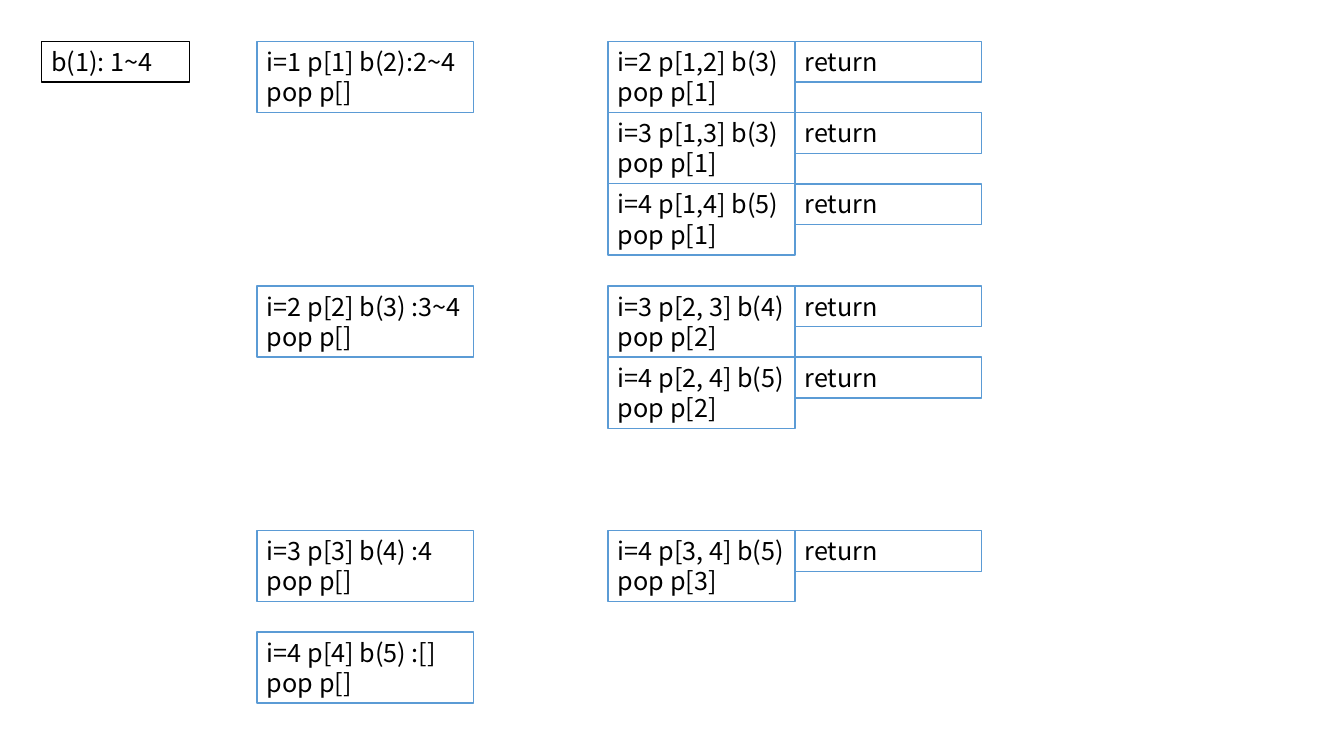
from typing import NamedTuple

from pptx import Presentation
from pptx.dml.color import RGBColor
from pptx.enum.shapes import MSO_SHAPE
from pptx.enum.text import MSO_ANCHOR, MSO_AUTO_SIZE, PP_ALIGN
from pptx.util import Pt

FONT = "Noto Sans CJK SC"
BLACK, WHITE, BLUE = "000000", "FFFFFF", "5B9BD5"
LINE_H, CALL_H = 29.1, 50.9
TOP = 29.5


class Column(NamedTuple):
    left: float
    width: float
    height: float
    line: str = BLUE


class Branch(NamedTuple):
    top: float
    call: str
    children: tuple[str, ...] = ()


ROOT = Column(29.5, 106, LINE_H, BLACK)
FIRST = Column(183.6, 154.8, CALL_H)
SECOND = Column(434.3, 133.5, CALL_H)
RETURN = Column(567.8, 133.5, LINE_H)

BRANCHES = (
    Branch(TOP, "i=1 p[1] b(2):2~4\npop p[]", (
        "i=2 p[1,2] b(3)\npop p[1]",
        "i=3 p[1,3] b(3)\npop p[1]",
        "i=4 p[1,4] b(5)\npop p[1]")),
    Branch(204.2, "i=2 p[2] b(3) :3~4\npop p[]", (
        "i=3 p[2, 3] b(4)\npop p[2]",
        "i=4 p[2, 4] b(5)\npop p[2]")),
    Branch(379, "i=3 p[3] b(4) :4\npop p[]", (
        "i=4 p[3, 4] b(5)\npop p[3]",)),
    Branch(451.4, "i=4 p[4] b(5) :[]\npop p[]"),
)


def rgb(color: str) -> RGBColor:
    return RGBColor.from_string(color)


def add_box(col: Column, top: float, text: str) -> None:
    sp = slide.shapes.add_shape(MSO_SHAPE.RECTANGLE, Pt(col.left), Pt(top),
                                Pt(col.width), Pt(col.height))
    sp.shadow.inherit = False
    sp.fill.solid()
    sp.fill.fore_color.rgb = rgb(WHITE)
    sp.line.color.rgb = rgb(col.line)
    sp.line.width = Pt(1)
    tf = sp.text_frame
    tf.text = text
    tf.word_wrap = True
    tf.auto_size = MSO_AUTO_SIZE.SHAPE_TO_FIT_TEXT
    tf.vertical_anchor = MSO_ANCHOR.TOP
    for p in tf.paragraphs:
        p.alignment = PP_ALIGN.LEFT
        for r in p.runs:
            r.font.name = FONT
            r.font.size = Pt(18)
            r.font.color.rgb = rgb(BLACK)


prs = Presentation()
prs.slide_width, prs.slide_height = Pt(960), Pt(540)
slide = prs.slides.add_slide(prs.slide_layouts[6])

# Initial call
add_box(ROOT, TOP, "b(1): 1~4")

# Each branch: first-level call, then its stacked child calls and returns
for branch in BRANCHES:
    add_box(FIRST, branch.top, branch.call)
    for row, child in enumerate(branch.children):
        top = branch.top + row * CALL_H
        add_box(SECOND, top, child)
        add_box(RETURN, top, "return")

prs.save("out.pptx")
